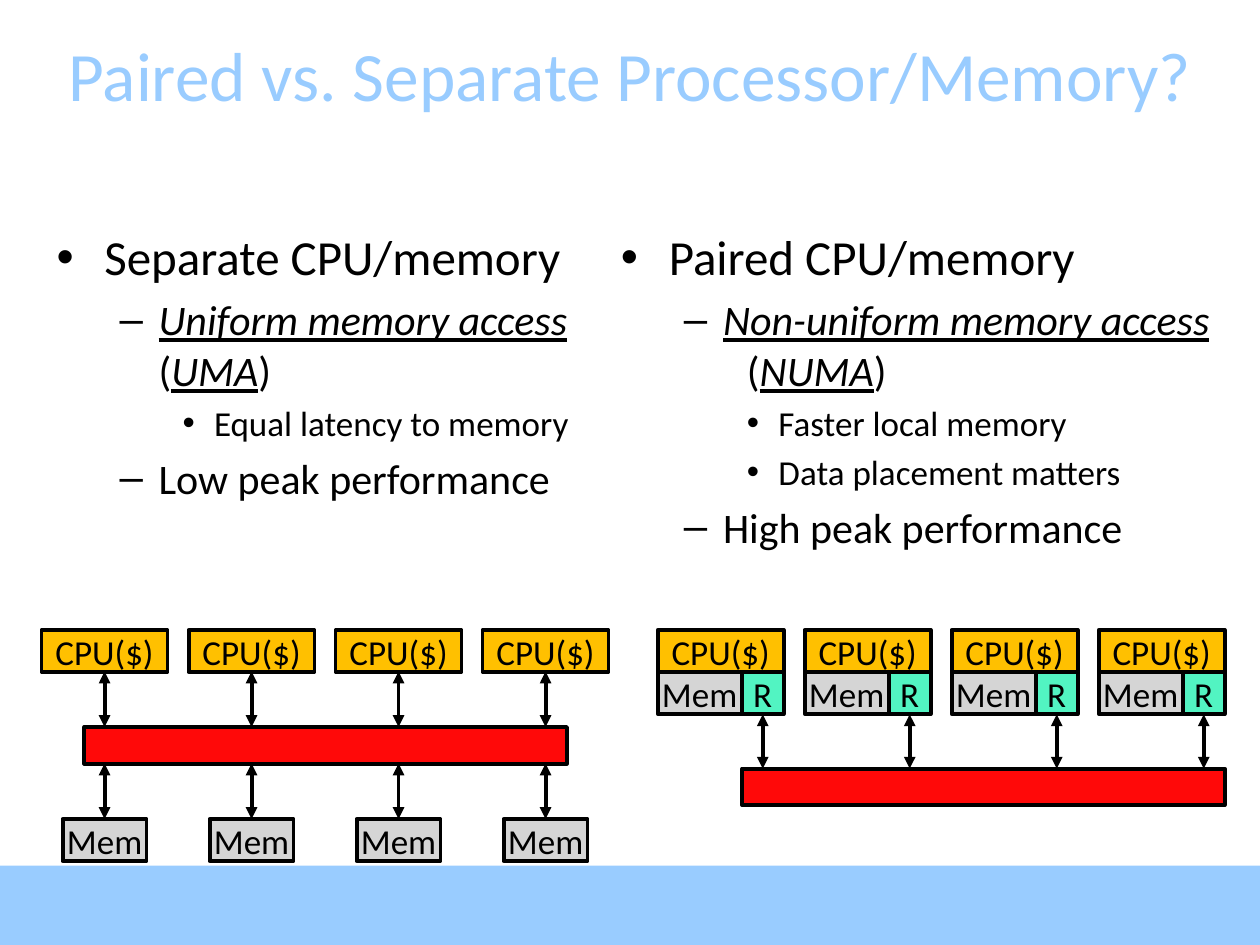
from lxml.etree import SubElement
from pptx import Presentation
from pptx.dml.color import RGBColor
from pptx.enum.shapes import MSO_CONNECTOR, MSO_SHAPE
from pptx.enum.text import MSO_ANCHOR, PP_ALIGN
from pptx.oxml.ns import qn
from pptx.util import Inches, Pt

SKY = RGBColor(0x99, 0xCC, 0xFF)
BLACK = RGBColor(0x00, 0x00, 0x00)
AMBER = RGBColor(0xFF, 0xC0, 0x00)
GRAY = RGBColor(0xD5, 0xD5, 0xD5)
RED = RGBColor(0xFF, 0x09, 0x09)
MINT = RGBColor(0x52, 0xF4, 0xC2)


def write(paragraph, text, size=20, color=BLACK, align=PP_ALIGN.CENTER):
    """Write text; parts between asterisks are italic and underlined."""
    paragraph.alignment = align
    for index, part in enumerate(text.split("*")):
        if part:
            run = paragraph.add_run()
            run.text = part
            run.font.name = "Calibri"
            run.font.size = Pt(size)
            run.font.color.rgb = color
            run.font.italic = run.font.underline = index % 2 == 1


def add_box(left, top, width, height, fill, text="", line=BLACK):
    shape = slide.shapes.add_shape(MSO_SHAPE.RECTANGLE, Inches(left), Inches(top),
                                   Inches(width), Inches(height))
    shape.shadow.inherit = False
    shape.fill.solid()
    shape.fill.fore_color.rgb = fill
    if line is None:
        shape.line.fill.background()
    else:
        shape.line.color.rgb = line
        shape.line.width = Pt(2.25)
    if text:
        shape.text_frame.word_wrap = False
        shape.text_frame.vertical_anchor = MSO_ANCHOR.MIDDLE
        write(shape.text_frame.paragraphs[0], text)


presentation = Presentation()
presentation.slide_width = Inches(10)
presentation.slide_height = Inches(7.5)
slide = presentation.slides.add_slide(presentation.slide_layouts[5])

# Footer band
add_box(0, 6.87, 10, 0.63, SKY, line=None)

# Title
title = slide.shapes.title
title.left, title.top = Inches(0), Inches(0.27)
title.width, title.height = Inches(10), Inches(0.63)
title.text_frame.vertical_anchor = MSO_ANCHOR.MIDDLE
write(title.text_frame.paragraphs[0], "Paired vs. Separate Processor/Memory?", size=39.6, color=SKY)

# Bullet columns: size, left margin, hanging indent and bullet per level
LEVELS = [(28, 0.38, 0.38, "•"), (24, 0.81, 0.31, "–"), (20, 1.25, 0.25, "•")]
COLUMNS = [
    (0.35, 4.42, [(0, "Separate CPU/memory"),
                  (1, "*Uniform memory access* \t(*UMA*)"),
                  (2, "Equal latency to memory"),
                  (1, "Low peak performance")]),
    (4.83, 4.89, [(0, "Paired CPU/memory"),
                  (1, "*Non-uniform memory access* \t(*NUMA*)"),
                  (2, "Faster local memory"),
                  (2, "Data placement matters"),
                  (1, "High peak performance")]),
]
for left, width, bullets in COLUMNS:
    column = slide.shapes.add_textbox(Inches(left), Inches(1.75), Inches(width), Inches(4.95))
    frame = column.text_frame
    frame.word_wrap = True
    for index, (level, text) in enumerate(bullets):
        paragraph = frame.add_paragraph() if index else frame.paragraphs[0]
        size, margin, hanging, bullet = LEVELS[level]
        write(paragraph, text, size=size, align=PP_ALIGN.LEFT)
        paragraph.level = level
        paragraph.space_before = Pt(size * 0.2)
        properties = paragraph._p.get_or_add_pPr()
        properties.set("marL", str(Inches(margin)))
        properties.set("indent", str(-Inches(hanging)))
        SubElement(properties, qn("a:buFont"), typeface="Arial")
        SubElement(properties, qn("a:buChar"), char=bullet)

# Processors and memories of both diagrams, four nodes each
PITCH = 7 / 6
ROW = 1 / 3
arrows = []
for node in range(4):
    separate = 0.33 + node * PITCH
    add_box(separate, 5, 1, ROW, AMBER, "CPU($)")
    add_box(separate + ROW / 2, 6.5, 2 * ROW, ROW, GRAY, "Mem")
    arrows += [(separate + 0.5, 5.33, 5.77), (separate + 0.5, 6.06, 6.5)]

    paired = 5.22 + node * PITCH
    add_box(paired, 5, 1, ROW, AMBER, "CPU($)")
    add_box(paired, 5 + ROW, 2 * ROW, ROW, GRAY, "Mem")
    add_box(paired + 2 * ROW, 5 + ROW, ROW, ROW, MINT, "R")
    arrows.append((paired + 2.5 * ROW, 5.67, 6.1))

# Double-headed arrows to the interconnects
for x, top, bottom in arrows:
    arrow = slide.shapes.add_connector(MSO_CONNECTOR.STRAIGHT, Inches(x), Inches(bottom),
                                       Inches(x), Inches(top))
    arrow.line.color.rgb = BLACK
    arrow.line.width = Pt(2.25)
    outline = arrow.line._get_or_add_ln()
    for end in ("a:headEnd", "a:tailEnd"):
        SubElement(outline, qn(end), type="triangle")
    SubElement(arrow._element.spPr, qn("a:effectLst"))

# Interconnects
for left, top in ((0.67, 5.77), (5.89, 6.1)):
    add_box(left, top, 3.83, 0.29, RED)

presentation.save("out.pptx")
